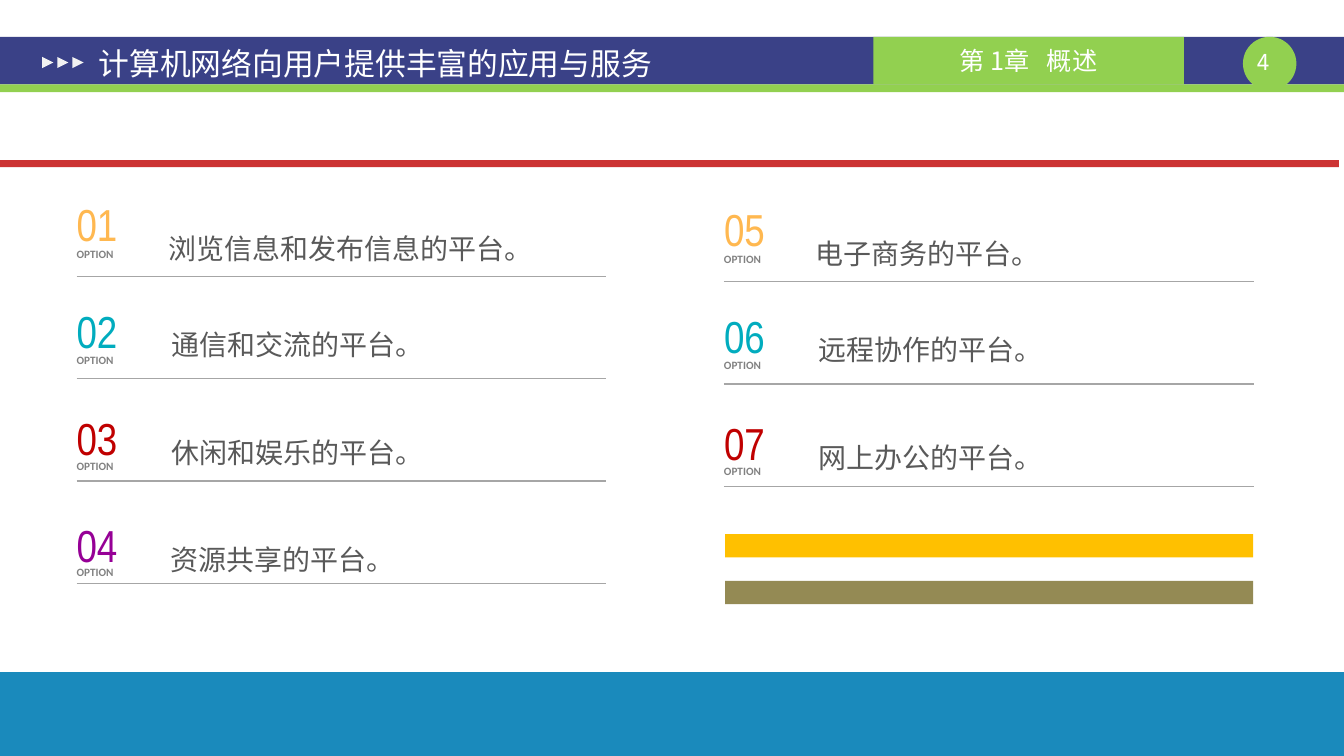
from pptx import Presentation
from pptx.dml.color import RGBColor
from pptx.enum import shapes, text
from pptx.oxml import ns, xmlchemy
from pptx.util import Pt

TITLE = "计算机网络向用户提供丰富的应用与服务"
CHAPTER = "第 1章   概述"
PAGE = "4"
CAPTION = "OPTION"
COLUMNS = [
    ["浏览信息和发布信息的平台。", "通信和交流的平台。", "休闲和娱乐的平台。", "资源共享的平台。"],
    ["电子商务的平台。", "远程协作的平台。", "网上办公的平台。"],
]

CJK = "Noto Sans CJK SC"
THEME = {
    "navy": "3A4187", "green": "92D050", "arrow": "F2F2F2", "red": "C00000",
    "footer": "1A8ABC", "olive": "948A54", "amber": "FFC000", "rule": "A6A6A6",
    "numbers": ["FFB850", "01ACBE", "C00000", "960096"],
    "title": {"size": 22, "name": "Arial", "color": "FFFFFF"},
    "chapter": {"size": 18, "name": CJK, "color": "FFFFFF"},
    "page": {"size": 16, "name": "Noto Sans Mono", "color": "FFFFFF"},
    "number": {"size": 32, "name": "Arial Narrow"},
    "caption": {"size": 8, "name": "Calibri", "color": "818181", "bold": True},
    "item": {"size": 20, "name": CJK, "color": "595959"},
}

# Layout in points
WIDTH, HEIGHT = 960.48, 540
COLUMN_LEFT, COLUMN_STEP, COLUMN_DROP = 54.7, 462.7, 3.8
RULE_LENGTH = 378.5
NUMBER_TOP, NUMBER_PITCH = 140.4, 76.4
CAPTION_TOP, CAPTION_PITCH = 172.8, 75.9
RULE_TOP, RULE_PITCH = 197.3, 73.2
ITEM_OFFSETS = [(58.3, 157), (60.5, 225.4), (60.5, 302.4), (59.8, 379.4)]

SHAPE = shapes.MSO_SHAPE
MIDDLE = text.MSO_ANCHOR.MIDDLE
CENTER = text.PP_ALIGN.CENTER


def write(shape, words, style, margins=(0, 0), **paragraph_format):
    """Fill a shape with one styled paragraph; margins are (side, top and bottom)."""
    frame = shape.text_frame
    side, edge = map(Pt, margins)
    frame_format = {"margin_left": side, "margin_right": side, "margin_top": edge,
                    "margin_bottom": edge, "word_wrap": True,
                    "auto_size": text.MSO_AUTO_SIZE.NONE}
    for name, value in frame_format.items():
        setattr(frame, name, value)
    paragraph = frame.paragraphs[0]
    for name, value in paragraph_format.items():
        setattr(paragraph, name, value)
    run = paragraph.add_run()
    run.text = words
    font_format = {"size": Pt(style["size"]), "name": style["name"],
                   "bold": style.get("bold", False)}
    for name, value in font_format.items():
        setattr(run.font, name, value)
    run.font.color.rgb = RGBColor.from_string(style["color"])
    east_asian = xmlchemy.OxmlElement("a:ea")
    east_asian.set("typeface", CJK)
    run.font._element.find(ns.qn("a:latin")).addnext(east_asian)


def add_label(slide, box, words, style, anchor=text.MSO_ANCHOR.TOP, **options):
    label = slide.shapes.add_textbox(*map(Pt, box))
    write(label, words, style, **options)
    label.text_frame.vertical_anchor = anchor


def add_block(slide, kind, box, color):
    block = slide.shapes.add_shape(kind, *map(Pt, box))
    block.shadow.inherit = False
    block.fill.solid()
    block.fill.fore_color.rgb = RGBColor.from_string(color)
    block.line.fill.background()
    return block


def add_rule(slide, left, top):
    rule = slide.shapes.add_connector(shapes.MSO_CONNECTOR.STRAIGHT, Pt(left), Pt(top),
                                      Pt(left + RULE_LENGTH), Pt(top))
    rule.line.color.rgb = RGBColor.from_string(THEME["rule"])
    rule.line.width = Pt(1)
    rule._element.spPr.append(xmlchemy.OxmlElement("a:effectLst"))


def add_header(slide):
    add_block(slide, SHAPE.RECTANGLE, (0, 26.3, WIDTH, 34), THEME["navy"])
    add_block(slide, SHAPE.RECTANGLE, (0, 60.2, WIDTH, 5.6), THEME["green"])
    add_block(slide, SHAPE.OVAL, (888.3, 26.3, 38.2, 38.2), THEME["green"])
    add_label(slide, (883.5, 34.6, 38.2, 19.4), PAGE, THEME["page"], alignment=CENTER)
    chapter = add_block(slide, SHAPE.RECTANGLE, (624.2, 26.3, 221.8, 34), THEME["green"])
    write(chapter, CHAPTER, THEME["chapter"], alignment=CENTER)
    chapter.text_frame.vertical_anchor = MIDDLE
    for index in range(3):
        arrow = add_block(slide, SHAPE.ISOSCELES_TRIANGLE,
                          (30.2 + 10.8 * index, 40.7, 7.9, 7.9), THEME["arrow"])
        arrow.rotation = 90

    title = slide.shapes.title
    for name, value in zip(("left", "top", "width", "height"), (61.2, 28.1, 419.8, 33.8)):
        setattr(title, name, Pt(value))
    write(title, TITLE, THEME["title"], margins=(9.4, 5), alignment=text.PP_ALIGN.LEFT)
    title.text_frame.vertical_anchor = MIDDLE
    slide.shapes._spTree.append(title._element)


def add_option(slide, column, row, number, words):
    left = COLUMN_LEFT + COLUMN_STEP * column
    drop = COLUMN_DROP * column
    number_style = {**THEME["number"], "color": THEME["numbers"][row]}
    add_label(slide, (left, NUMBER_TOP + NUMBER_PITCH * row + drop, 35.3, 38.9),
              f"{number:02}", number_style, MIDDLE)
    add_label(slide, (left, CAPTION_TOP + CAPTION_PITCH * row + drop, 45, 17.3),
              CAPTION, THEME["caption"], margins=(0, 3.6))
    add_rule(slide, left, RULE_TOP + RULE_PITCH * row + drop)
    indent, top = ITEM_OFFSETS[row]
    add_label(slide, (left + indent, top + drop, 326, 36), words, THEME["item"],
              margins=(7.2, 3.6), line_spacing=1.2)


def add_bands(slide):
    divider = add_block(slide, SHAPE.RECTANGLE, (-3.6, 114.5, WIDTH, 5), THEME["red"])
    alpha = xmlchemy.OxmlElement("a:alpha")
    alpha.set("val", "80000")
    divider._element.spPr.find(ns.qn("a:solidFill"))[0].append(alpha)
    add_block(slide, SHAPE.RECTANGLE, (0, 480.2, WIDTH, 59.8), THEME["footer"])
    for top, color in ((414.9, "olive"), (381.6, "amber")):
        add_block(slide, SHAPE.RECTANGLE, (518.2, top, 377.4, 16.6), THEME[color])


def main():
    presentation = Presentation()
    presentation.slide_width, presentation.slide_height = Pt(WIDTH), Pt(HEIGHT)
    slide = presentation.slides.add_slide(presentation.slide_layouts.get_by_name("Title Only"))
    add_header(slide)
    number = 0
    for column, items in enumerate(COLUMNS):
        for row, words in enumerate(items):
            number += 1
            add_option(slide, column, row, number, words)
    add_bands(slide)
    presentation.save("out.pptx")


if __name__ == "__main__":
    main()
